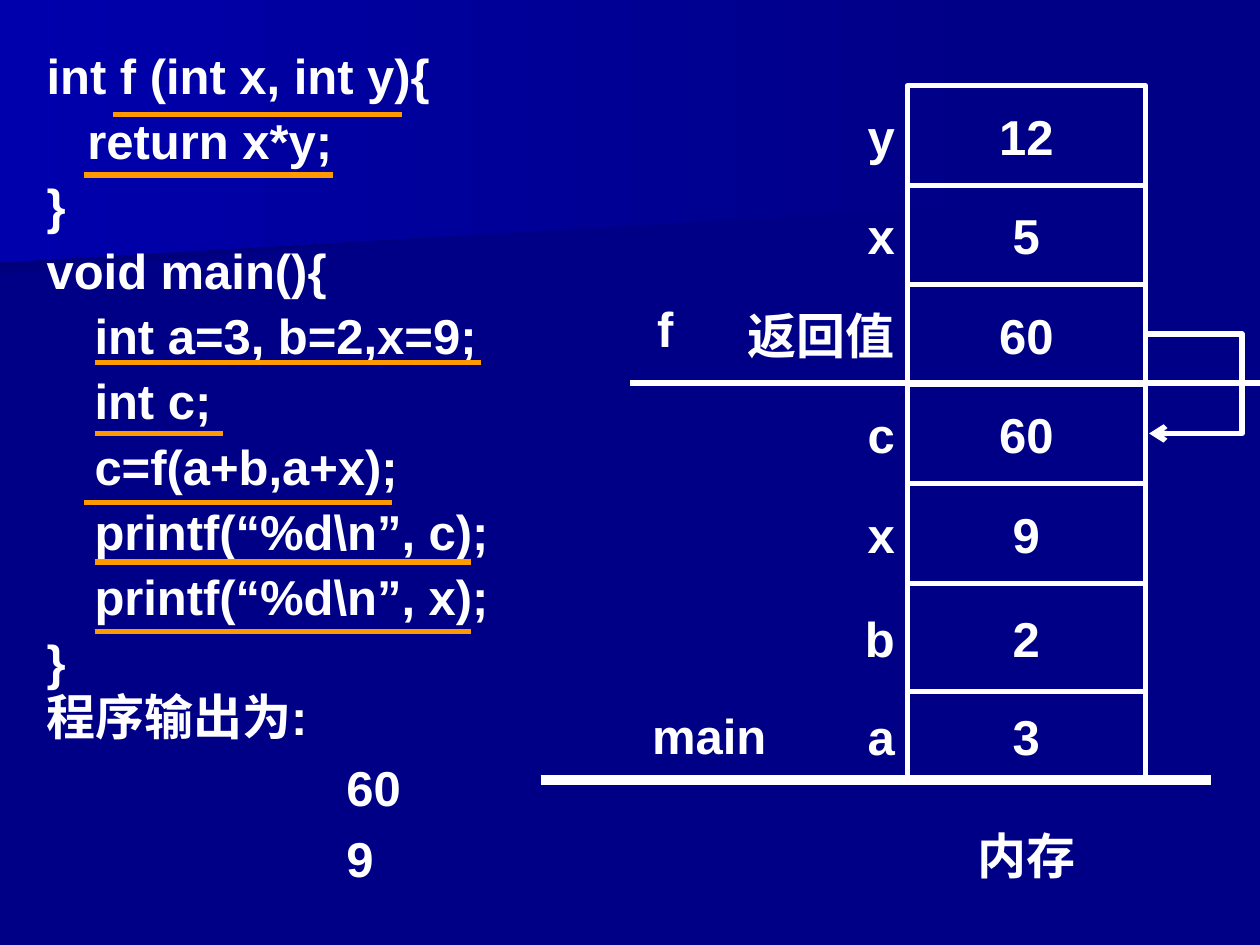
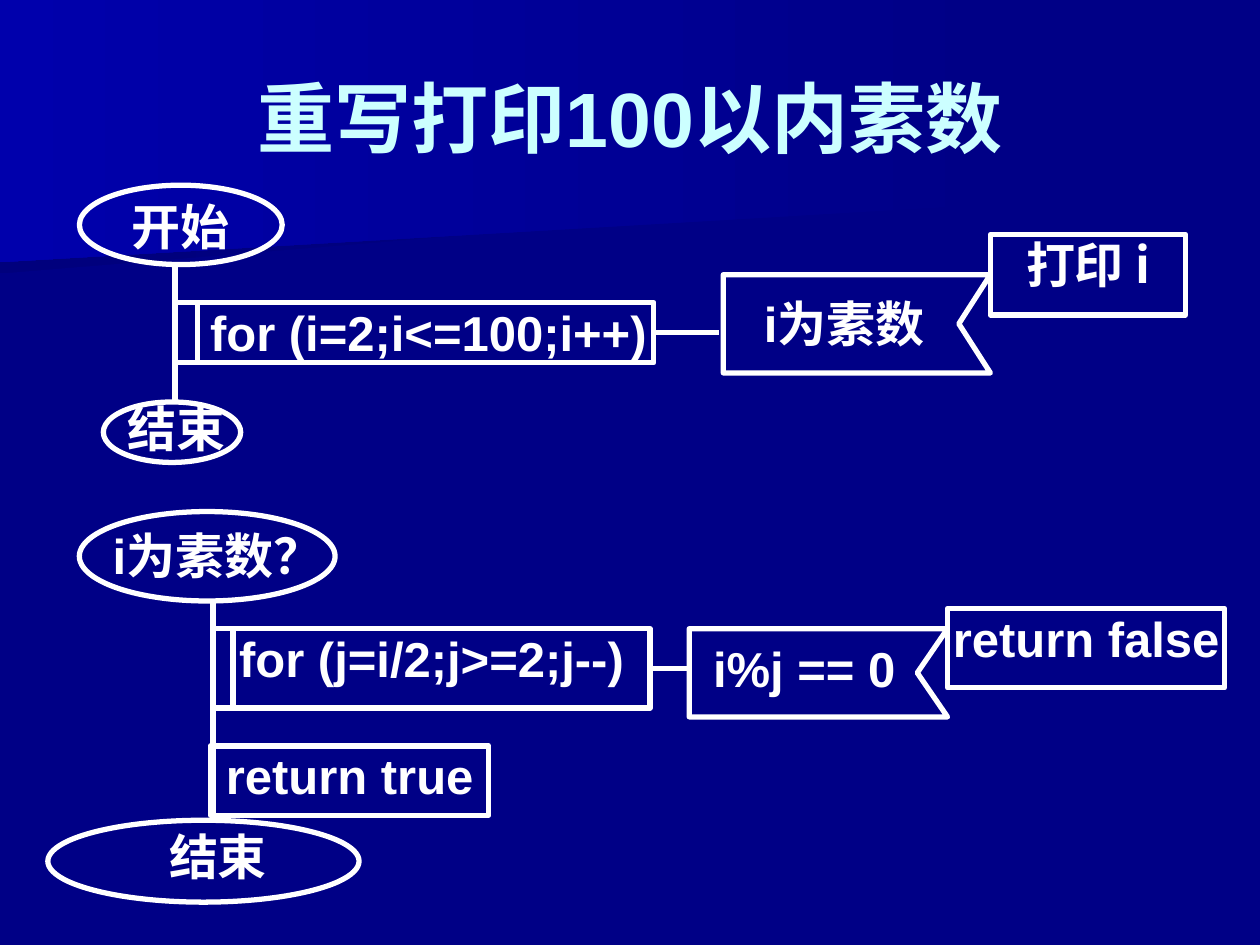
"""Build two slides: a call-stack memory diagram and prime-number flowcharts."""
from lxml import etree
from pptx import Presentation
from pptx.dml.color import RGBColor
from pptx.enum.shapes import MSO_CONNECTOR, MSO_SHAPE
from pptx.enum.text import MSO_ANCHOR, MSO_AUTO_SIZE, PP_ALIGN
from pptx.oxml.ns import qn
from pptx.util import Inches, Pt

NAVY = RGBColor(0x00, 0x00, 0x86)
DARK_NAVY = RGBColor(0x00, 0x00, 0x7D)
BRIGHT_BLUE = RGBColor(0x00, 0x00, 0xAC)
WHITE = RGBColor(0xFF, 0xFF, 0xFF)
ORANGE = RGBColor(0xFF, 0x99, 0x00)
PALE_CYAN = RGBColor(0xCC, 0xFF, 0xFF)

LEFT, CENTER, RIGHT = PP_ALIGN.LEFT, PP_ALIGN.CENTER, PP_ALIGN.RIGHT
TOP, MIDDLE = MSO_ANCHOR.TOP, MSO_ANCHOR.MIDDLE
STRAIGHT, ELBOW = MSO_CONNECTOR.STRAIGHT, MSO_CONNECTOR.ELBOW
RECTANGLE, OVAL = MSO_SHAPE.RECTANGLE, MSO_SHAPE.OVAL
RIGHT_SIDE = 3

LATIN_FONT, CHINESE_FONT = "Arial", "Noto Sans CJK SC"
PADDED = (0.1, 0.05, 0.1, 0.05)
TIGHT = (0, 0, 0, 0)

CODE = (
    "int f (int x, int y){",
    "   return x*y;",
    "}",
    "void main(){",
    "\tint a=3, b=2,x=9;",
    "\tint c;",
    "\tc=f(a+b,a+x);",
    "\tprintf(“%d\\n”, c);",
    "\tprintf(“%d\\n”, x);",
    "}",
)
UNDERLINES = (
    (0.9, 3.19, 0.91), (0.67, 2.64, 1.39), (0.75, 3.82, 2.88),
    (0.75, 1.77, 3.44), (0.67, 3.11, 3.99), (0.75, 3.74, 4.46),
    (0.75, 3.74, 5.01),
)
MEMORY_CELLS = (
    ("y", "12", 0.79), ("x", "5", 0.79), ("返回值", "60", 0.79),
    ("c", "60", 0.79), ("x", "9", 0.79), ("b", "2", 0.86), ("a", "3", 0.7),
)


def set_attributes(target, values):
    """Set every attribute named in a dict."""
    for name, value in values.items():
        setattr(target, name, value)


def place(shape, box):
    """Move and size a shape to a box in inches."""
    names = ("left", "top", "width", "height")
    set_attributes(shape, dict(zip(names, map(Inches, box))))


def write_paragraph(paragraph, text, size=28, color=WHITE, font=LATIN_FONT):
    """Write one bold run into a paragraph."""
    run = paragraph.add_run()
    run.text = text
    set_attributes(run.font, {"size": Pt(size), "bold": True, "name": font})
    run.font.color.rgb = color
    east_asian = etree.SubElement(run.font._element, qn("a:ea"))
    east_asian.set("typeface", CHINESE_FONT)


def set_frame(shape, insets=PADDED, anchor=TOP):
    """Set wrapping, insets and anchor, and give back the text frame."""
    frame = shape.text_frame
    names = ("margin_left", "margin_top", "margin_right", "margin_bottom")
    set_attributes(frame, dict(zip(names, map(Inches, insets))))
    set_attributes(frame, {"word_wrap": True, "vertical_anchor": anchor,
                           "auto_size": MSO_AUTO_SIZE.NONE})
    return frame


def write_text(shape, text, align=CENTER, insets=TIGHT, anchor=TOP, **style):
    """Fill a shape with one aligned paragraph."""
    paragraph = set_frame(shape, insets, anchor).paragraphs[0]
    paragraph.alignment = align
    write_paragraph(paragraph, text, **style)


def add_label(slide, box, text, **style):
    """Add a one-line text box."""
    shape = slide.shapes.add_textbox(*map(Inches, box))
    write_text(shape, text, **style)


def outline(shape):
    """Give a shape a white outline without fill or shadow."""
    shape.shadow.inherit = False
    shape.fill.background()
    shape.line.color.rgb = WHITE
    shape.line.width = Pt(3)


def add_outlined(slide, preset, box):
    """Add an outlined preset shape."""
    shape = slide.shapes.add_shape(preset, *map(Inches, box))
    outline(shape)
    return shape


def add_box(slide, box, text, **style):
    """Add an outlined rectangle with text."""
    shape = add_outlined(slide, RECTANGLE, box)
    write_text(shape, text, **style)
    return shape


def add_line(slide, start, end, color=WHITE, width=3, kind=STRAIGHT):
    """Add a connector between two points in inches."""
    line = slide.shapes.add_connector(kind, *map(Inches, start + end))
    line.line.color.rgb = color
    line.line.width = Pt(width)
    etree.SubElement(line._element.spPr, qn("a:effectLst"))
    return line


def add_return_arrow(slide, start, end, reach):
    """Add an elbow arrow that bulges right to the given x."""
    arrow = add_line(slide, start, end, kind=ELBOW)
    adjustments = arrow._element.spPr.find(qn("a:prstGeom")).find(qn("a:avLst"))
    ratio = (reach - start[0]) / (end[0] - start[0])
    guide = etree.SubElement(adjustments, qn("a:gd"))
    guide.set("name", "adj1")
    guide.set("fmla", f"val {round(ratio * 100000)}")
    tail = etree.SubElement(arrow.line._get_or_add_ln(), qn("a:tailEnd"))
    tail.set("type", "arrow")


def add_polygon(slide, points):
    """Add a closed outline through points in inches."""
    corners = [(Inches(x), Inches(y)) for x, y in points]
    builder = slide.shapes.build_freeform(*corners[0])
    builder.add_line_segments(corners[1:], close=True)
    return builder.convert_to_shape()


def add_master_band(slide, master, index, points, color):
    """Build a gradient band and hand it to the slide master."""
    band = add_polygon(slide, points)
    band.shadow.inherit = False
    band.line.fill.background()
    band.fill.gradient()
    band.fill.gradient_angle = 180
    for stop, stop_color in zip(band.fill.gradient_stops, (NAVY, color)):
        stop.color.rgb = stop_color
    master.shapes._spTree.insert(index, band._element)


def style_master(slide, master):
    """Give the master its navy ground and two bands."""
    master.background.fill.solid()
    master.background.fill.fore_color.rgb = NAVY
    lower = ((7.78, 1.53), (0, 2.17), (0, 1.01), (7.79, 1.01))
    upper = ((7.92, 1.62), (0, 2.08), (0, 0), (7.92, 0))
    add_master_band(slide, master, 2, lower, DARK_NAVY)
    add_master_band(slide, master, 3, upper, BRIGHT_BLUE)


def write_lines(frame, lines, line_spacing=1.0):
    """Write (text, left margin, first indent) lines without bullets."""
    for number, (text, margin, indent) in enumerate(lines):
        paragraph = frame.add_paragraph() if number else frame.paragraphs[0]
        properties = paragraph._p.get_or_add_pPr()
        properties.set("marL", str(Inches(margin)))
        properties.set("indent", str(Inches(indent)))
        etree.SubElement(properties, qn("a:buNone"))
        set_attributes(paragraph, {"line_spacing": line_spacing,
                                   "space_before": Pt(7 if number else 0),
                                   "alignment": LEFT})
        write_paragraph(paragraph, text)


def add_terminal(slide, oval, label, text):
    """Add a start or end oval with its label."""
    add_outlined(slide, OVAL, oval)
    add_label(slide, label, text)


def add_loop(slide, box, text, bar_x, insets, exit_x):
    """Add a loop box with its inner bar and its exit line."""
    left, top, width, height = box
    loop = add_box(slide, box, text, insets=insets)
    add_line(slide, (bar_x, top), (bar_x, top + height))
    middle = top + height / 2
    link = add_line(slide, (left + width, middle), (exit_x, middle))
    link.begin_connect(loop, RIGHT_SIDE)


def add_condition(slide, box, notch, label, text, **style):
    """Add a condition pennant, notched on the right, with its label."""
    left, top, width, height = box
    right, bottom = left + width, top + height
    outline(add_polygon(slide, (
        (left, top), (right, top), (right - notch, top + height / 2),
        (right, bottom), (left, bottom))))
    add_label(slide, label, text, **style)


def add_memory(slide):
    """Stack the memory cells with variable names on their left."""
    top = 0.68
    for name, value, height in MEMORY_CELLS:
        add_box(slide, (7.2, top, 1.89, height), value,
                insets=PADDED, anchor=MIDDLE)
        add_label(slide, (5.63, top, 1.57, height), name, align=RIGHT,
                  insets=PADDED, anchor=MIDDLE)
        top += height
    for box, text, align in (
        ((4.84, 5.48, 1.34, 0.71), "main", RIGHT),
        ((4.61, 2.25, 1.34, 0.71), "f", CENTER),
        ((7.28, 6.51, 1.73, 0.55), "内存", CENTER),
    ):
        add_label(slide, box, text, align=align, insets=PADDED, anchor=MIDDLE)
    add_line(slide, (5, 3.04), (10, 3.04))
    add_line(slide, (4.29, 6.19), (9.61, 6.19), width=6)
    add_return_arrow(slide, (9.09, 2.65), (9.12, 3.44), 9.86)


def fill_call_slide(slide):
    """Show the program, its output and the memory stack."""
    title = slide.shapes.title._element
    title.getparent().remove(title)
    body = slide.placeholders[1]
    place(body, (0.27, 0.36, 4.65, 5.59))
    write_lines(set_frame(body), [(line, 0.38, -0.38) for line in CODE], 0.9)
    output = slide.shapes.add_textbox(*map(Inches, (0.27, 5.4, 4.65, 1.81)))
    write_lines(set_frame(output), (
        ("程序输出为:", 0.38, -0.38), ("60", 2.38, 0), ("9", 2.38, 0)))
    add_memory(slide)
    for left, right, y in UNDERLINES:
        add_line(slide, (left, y), (right, y), color=ORANGE)


def fill_prime_slide(slide):
    """Show the main flowchart and the prime test below it."""
    title = slide.shapes.title
    place(title, (0.5, 0.3, 9, 1.25))
    write_text(title, "重写打印100以内素数", insets=PADDED, anchor=MIDDLE,
               size=44, color=PALE_CYAN)

    add_line(slide, (1.39, 2.09), (1.39, 3.19))
    add_terminal(slide, (0.63, 1.47, 1.61, 0.63), (0.72, 1.56, 1.42, 0.43), "开始")
    add_loop(slide, (1.39, 2.4, 3.8, 0.48), "for (i=2;i<=100;i++)",
             1.57, (0.22, 0, 0, 0), 5.71)
    add_condition(slide, (5.74, 2.18, 2.12, 0.78), 0.25,
                  (5.82, 2.33, 1.76, 0.45), "i为素数")
    add_box(slide, (7.86, 1.86, 1.55, 0.64), "打印 i", font=CHINESE_FONT)
    add_terminal(slide, (0.82, 3.19, 1.09, 0.48), (0.43, 3.16, 1.94, 0.47), "结束")

    add_line(slide, (1.69, 4.77), (1.69, 6.51))
    add_terminal(slide, (0.63, 4.06, 2.03, 0.71), (0.35, 4.17, 2.75, 0.5), "i为素数？")
    add_loop(slide, (1.69, 4.99, 3.47, 0.63), "for (j=i/2;j>=2;j--)",
             1.85, TIGHT, 5.45)
    add_condition(slide, (5.47, 4.99, 2.05, 0.7), 0.24,
                  (5.66, 5.07, 1.59, 0.45), "i%j == 0", align=LEFT)
    add_box(slide, (7.52, 4.83, 2.2, 0.63), "return false")
    add_box(slide, (1.67, 5.92, 2.21, 0.55), "return true")
    add_terminal(slide, (0.38, 6.51, 2.47, 0.65), (0.35, 6.56, 2.76, 0.51), "结束")


def main():
    """Build and save the presentation."""
    presentation = Presentation()
    presentation.slide_width = Inches(10)
    presentation.slide_height = Inches(7.5)
    layouts = presentation.slide_layouts
    call_slide = presentation.slides.add_slide(layouts.get_by_name("Title and Content"))
    prime_slide = presentation.slides.add_slide(layouts.get_by_name("Title Only"))
    style_master(call_slide, presentation.slide_master)
    fill_call_slide(call_slide)
    fill_prime_slide(prime_slide)
    presentation.save("out.pptx")


if __name__ == "__main__":
    main()
